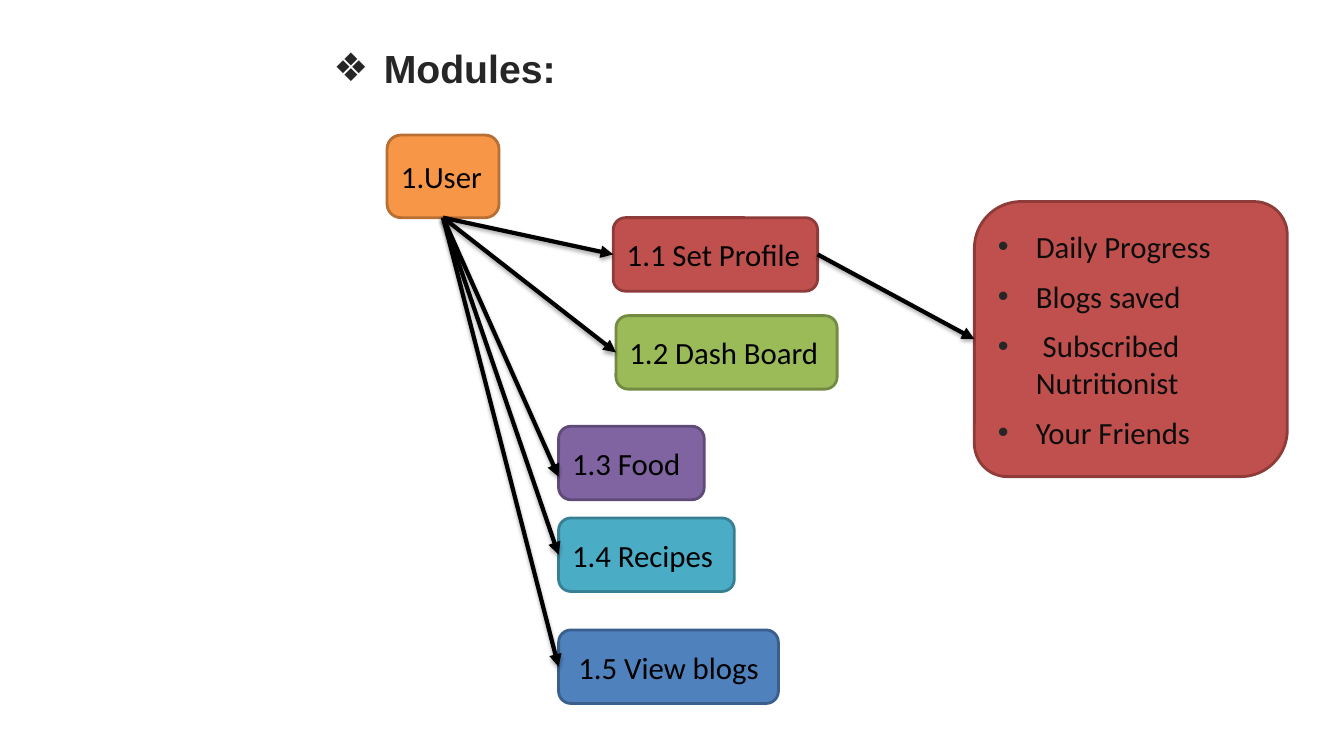
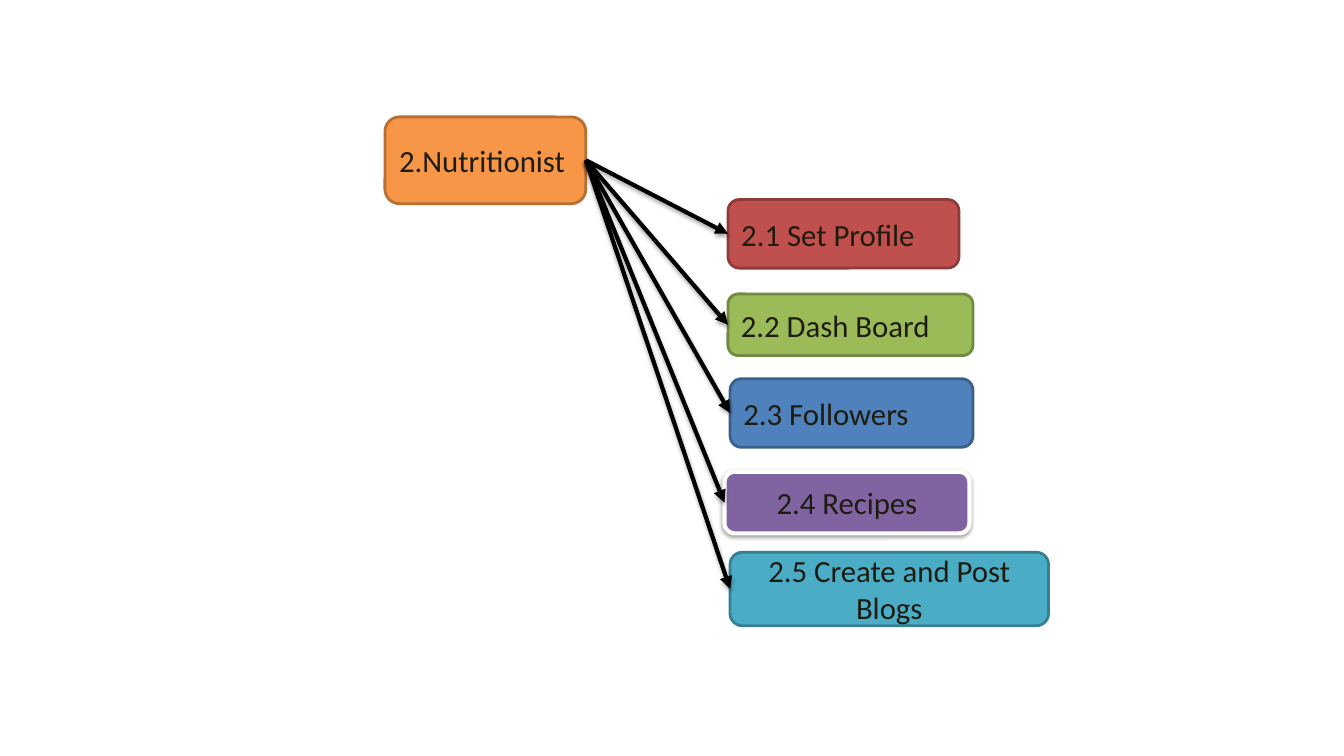
from lxml import etree
from pptx import Presentation
from pptx.dml.color import RGBColor
from pptx.enum.shapes import MSO_CONNECTOR as Connector, MSO_SHAPE as Shape
from pptx.enum.text import MSO_ANCHOR as Anchor, PP_ALIGN as Align
from pptx.oxml import parse_xml
from pptx.oxml.ns import nsdecls, qn
from pptx.util import Pt

COLORS = {
    "orange": "F79646", "orange line": "B76F34",
    "red": "C0504D", "red line": "8E3B39",
    "green": "9BBB59", "green line": "738A42",
    "purple": "8064A2", "purple line": "5F4A78",
    "teal": "4BACC6", "teal line": "377F92",
    "blue": "4F81BD", "blue line": "3A5F8C",
    "white": "FFFFFF", "black": "000000",
    "title": "262626", "list": "0D0D0D", "brown": "1E1C11",
}
RGB = {name: RGBColor.from_string(value) for name, value in COLORS.items()}
TITLE_FONT = {"name": "Arial", "size": Pt(28), "bold": True}
BOX_FONT = {"name": "Calibri", "size": Pt(22)}
BOTTOM, LEFT, RIGHT = 2, 1, 3

# Text, fill, left, top, width, height, alignment; the first box is the parent.
DIAGRAMS = [
    {"title": "Modules:", "ink": "black", "start": BOTTOM, "boxes": [
        ("1.User", "orange", 276.5, 96.5, 80, 59, Align.LEFT),
        ("1.1 Set Profile", "red", 438, 155.5, 146, 52.5, Align.LEFT),
        ("1.2 Dash Board", "green", 440, 225.5, 158, 52.5, Align.LEFT),
        ("1.3 Food", "purple", 399, 304.5, 104, 52.5, Align.LEFT),
        ("1.4 Recipes", "teal", 399, 370, 125.5, 52.5, Align.LEFT),
        ("1.5 View blogs", "blue", 399, 450, 157, 52.5, Align.CENTER),
    ]},
    {"title": None, "ink": "brown", "start": RIGHT, "boxes": [
        ("2.Nutritionist", "orange", 275, 83.5, 143.5, 62, Align.LEFT),
        ("2.1 Set Profile", "red", 520, 142.5, 165, 49, Align.LEFT),
        ("2.2 Dash Board", "green", 520, 210, 175, 44, Align.LEFT),
        ("2.3 Followers", "blue", 521.5, 270.5, 173.5, 49, Align.LEFT),
        ("2.4 Recipes", "purple", 517.5, 337, 175, 44, Align.CENTER),
        ("2.5 Create and Post Blogs", "teal", 521.5, 394.5, 227.5, 52.5, Align.CENTER),
    ]},
]
LOW_ENDS = {"1.3 Food": 340.5}
RAISED = "2.4 Recipes"
PROFILE_ITEMS = ["Daily Progress", "Blogs saved", " Subscribed Nutritionist", "Your Friends"]


def add_shadow(item, distance, percent):
    """Add a soft black shadow that falls straight down."""
    item._element.spPr.append(parse_xml(
        f'<a:effectLst {nsdecls("a")}><a:outerShdw blurRad="{Pt(3.1)}" '
        f'dist="{Pt(distance)}" dir="5400000" rotWithShape="0">'
        f'<a:srgbClr val="{COLORS["black"]}"><a:alpha val="{percent * 1000}"/>'
        '</a:srgbClr></a:outerShdw></a:effectLst>'))


def add_bullet(para, char, indent):
    props = para._p.get_or_add_pPr()
    props.set("marL", str(Pt(indent)))
    props.set("indent", str(-Pt(indent)))
    color = etree.SubElement(props, qn("a:buClr"))
    etree.SubElement(color, qn("a:srgbClr"), val=COLORS["title"])
    etree.SubElement(props, qn("a:buFont"), typeface="Arial")
    etree.SubElement(props, qn("a:buChar"), char=char)


deck = Presentation()
deck.slide_width, deck.slide_height = Pt(960), Pt(540)
title_only, blank = deck.slide_layouts[5], deck.slide_layouts[6]

for diagram in DIAGRAMS:
    page = deck.slides.add_slide(title_only if diagram["title"] else blank)
    cards = [(Shape.ROUNDED_RECTANGLE, [text], fill, diagram["ink"], place, align)
             for text, fill, *place, align in diagram["boxes"]]
    if diagram["title"]:
        heading = page.shapes.title
        frame = {"left": 231, "top": 10, "width": 688, "height": 76.5}
        for name, value in frame.items():
            setattr(heading, name, Pt(value))
        heading.text_frame.vertical_anchor = Anchor.MIDDLE
        para = heading.text_frame.paragraphs[0]
        para.alignment = Align.LEFT
        add_bullet(para, "❖", 36)
        span = para.add_run()
        span.text = diagram["title"]
        for name, value in TITLE_FONT.items():
            setattr(span.font, name, value)
        span.font.color.rgb = RGB["title"]
        cards.append((Shape.ROUND_2_DIAG_RECTANGLE, PROFILE_ITEMS, "red", "list",
                      (696, 144, 223.5, 196.5), Align.LEFT))

    boxes = []
    for kind, lines, fill, ink, place, align in cards:
        box = page.shapes.add_shape(kind, *map(Pt, place))
        raised = lines[0] == RAISED
        box.fill.solid()
        box.fill.fore_color.rgb = RGB[fill]
        box.line.color.rgb = RGB["white" if raised else f"{fill} line"]
        box.line.width = Pt(3 if raised else 2)
        if raised:
            add_shadow(box, 1.6, 38)
        else:
            box.shadow.inherit = False
        body = box.text_frame
        body.word_wrap = True
        body.vertical_anchor = Anchor.MIDDLE
        for index, line in enumerate(lines):
            para = body.add_paragraph() if index else body.paragraphs[0]
            para.alignment = align
            if align == Align.LEFT:
                para.space_before = Pt(9)
            if len(lines) > 1:
                add_bullet(para, "•", 27)
            span = para.add_run()
            span.text = line
            for name, value in BOX_FONT.items():
                setattr(span.font, name, value)
            span.font.color.rgb = RGB[ink]
        boxes.append(box)

    if diagram["title"]:
        *boxes, profile_list = boxes
        profile_list.adjustments[0] = 0.17
        profile_list.adjustments[1] = 0.12
    parent, *children = boxes
    links = [(parent, diagram["start"], child) for child in children]
    if diagram["title"]:
        links.append((children[0], RIGHT, profile_list))
    for source, side, target in links:
        low_end = LOW_ENDS.get(target.text_frame.text)
        end_y = Pt(low_end) if low_end else target.top + target.height // 2
        arrow = page.shapes.add_connector(
            Connector.STRAIGHT, source.left, source.top, target.left, end_y)
        arrow.begin_connect(source, side)
        if not low_end and target.auto_shape_type == Shape.ROUNDED_RECTANGLE:
            arrow.end_connect(target, LEFT)
        arrow.line.color.rgb = RGB["black"]
        arrow.line.width = Pt(3)
        etree.SubElement(arrow.line._get_or_add_ln(), qn("a:tailEnd"), type="triangle")
        add_shadow(arrow, 1.8, 35)

deck.save("out.pptx")
